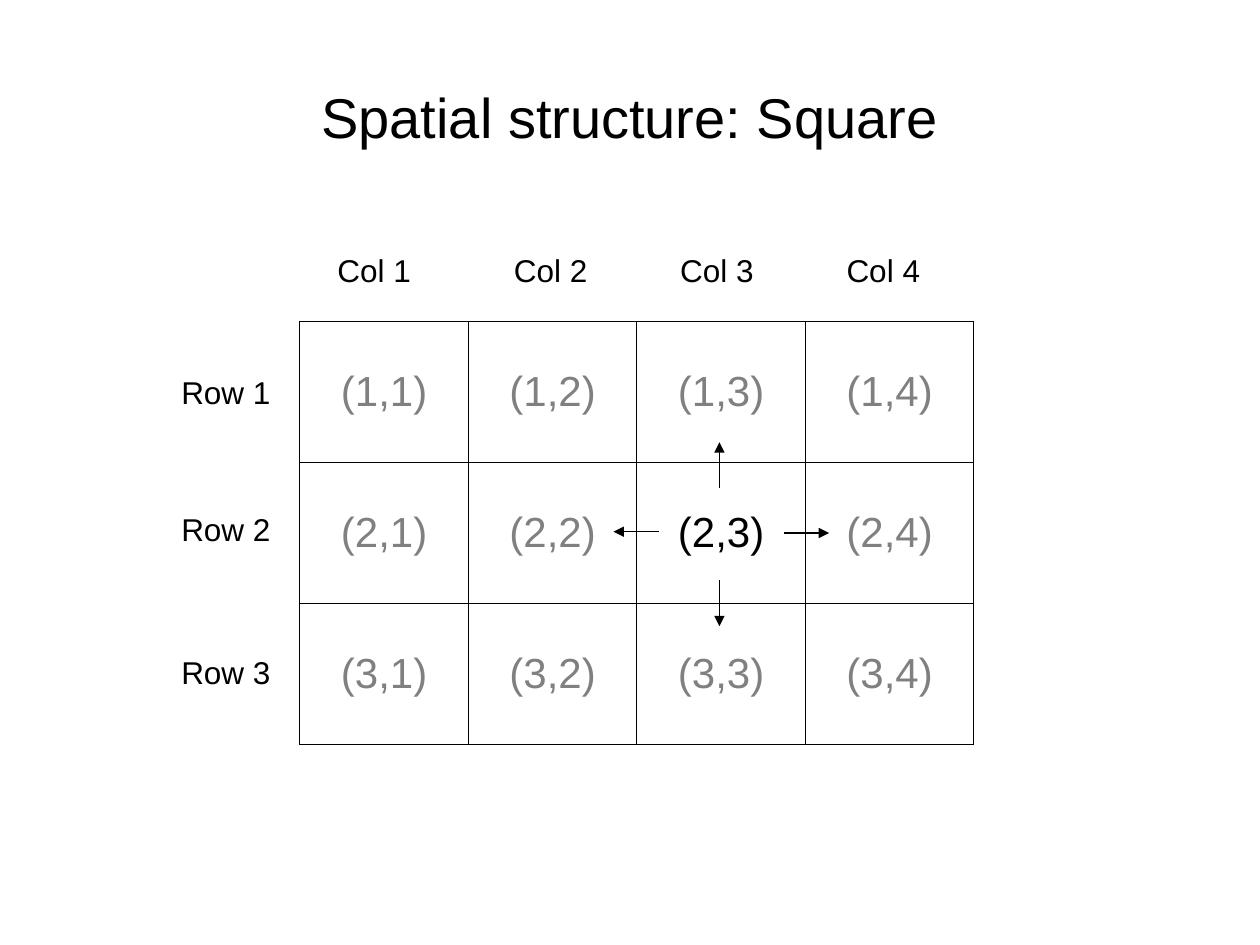
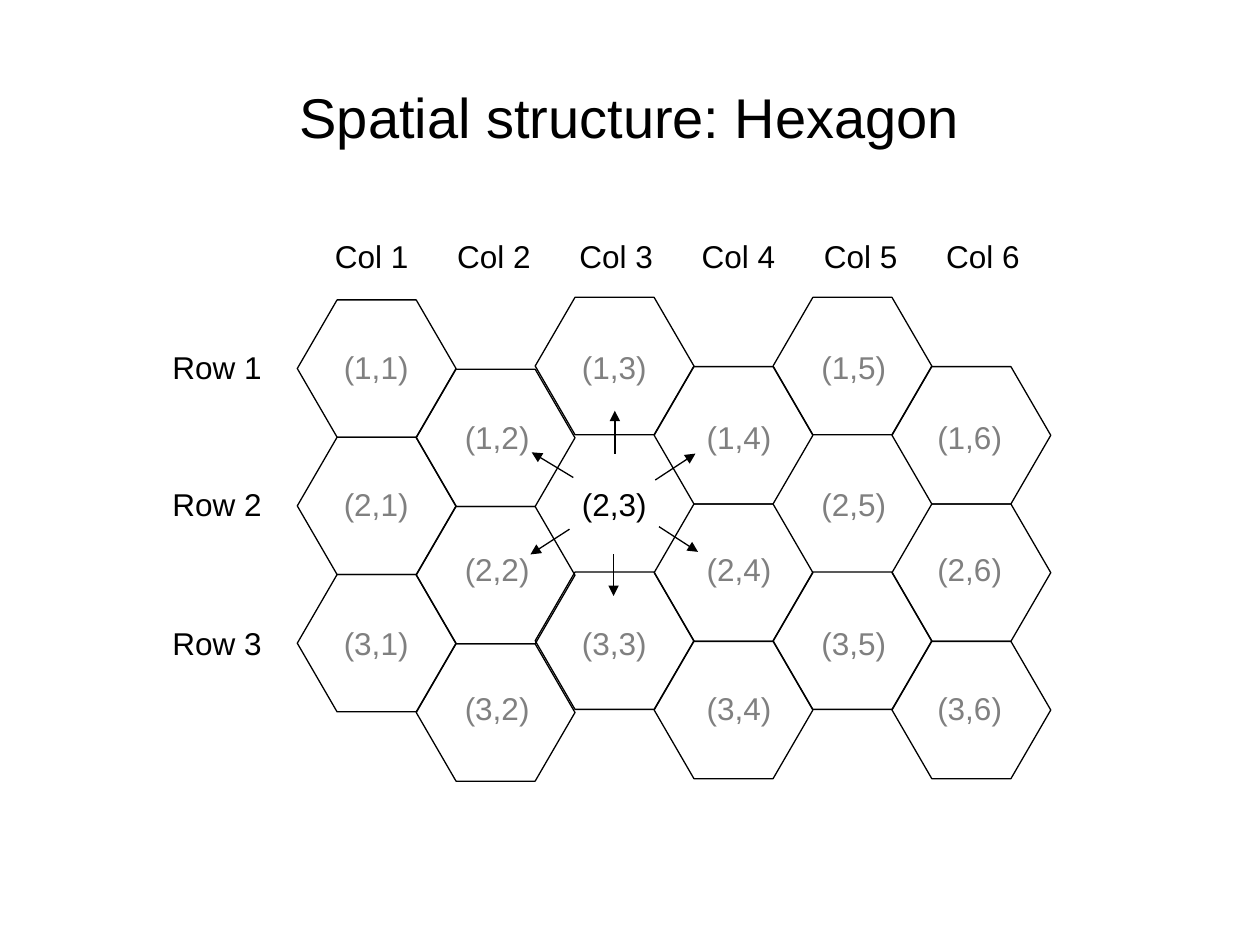
from dataclasses import dataclass

from lxml import etree
from pptx import Presentation
from pptx.dml.color import RGBColor
from pptx.enum.shapes import MSO_CONNECTOR, MSO_SHAPE
from pptx.enum.text import MSO_ANCHOR, MSO_AUTO_SIZE, PP_ALIGN
from pptx.oxml.ns import qn
from pptx.shapes.shapetree import GroupShapes, SlideShapes
from pptx.slide import Slide
from pptx.table import _Cell
from pptx.text.text import TextFrame
from pptx.util import Inches, Pt

LEFT, CENTER = PP_ALIGN.LEFT, PP_ALIGN.CENTER
TOP, MIDDLE = MSO_ANCHOR.TOP, MSO_ANCHOR.MIDDLE
GROW = MSO_AUTO_SIZE.SHAPE_TO_FIT_TEXT
HEXAGON = MSO_SHAPE.HEXAGON
STRAIGHT = MSO_CONNECTOR.STRAIGHT

FONT = "Arial"
BLACK, GRAY = "000000", "808080"
THIN = Pt(0.75)
FOCUS = (2, 3)
ROWS = 3
ROW_WIDE, COL_WIDE, CELL_WIDE = 0.95, 0.82, 0.75

Canvas = SlideShapes | GroupShapes


@dataclass(frozen=True)
class Label:
    text: str
    x: float
    y: float
    width: float
    color: str = BLACK


@dataclass(frozen=True)
class Arrow:
    x1: float
    y1: float
    x2: float
    y2: float


# Shared helpers
def paint(code: str) -> RGBColor:
    return RGBColor.from_string(code)


def shade(row: int, col: int) -> str:
    return BLACK if (row, col) == FOCUS else GRAY


def write(frame: TextFrame, text: str, *, size: int = 18, color: str = BLACK,
          align: PP_ALIGN = LEFT, before: int = 0) -> None:
    par = frame.paragraphs[0]
    par.alignment = align
    par.space_before = Pt(before)
    run = par.add_run()
    run.text = text
    run.font.name = FONT
    run.font.size = Pt(size)
    run.font.color.rgb = paint(color)


def add_title(slide: Slide, text: str) -> None:
    box = slide.shapes.add_textbox(Inches(0.5), Inches(0.3), Inches(9), Inches(1.25))
    frame = box.text_frame
    frame.word_wrap = True
    frame.vertical_anchor = MIDDLE
    write(frame, text, size=32, align=CENTER)


def add_label(shapes: Canvas, label: Label) -> None:
    box = shapes.add_textbox(Inches(label.x), Inches(label.y),
                             Inches(label.width), Inches(0.4))
    frame = box.text_frame
    frame.word_wrap = True
    frame.auto_size = GROW
    frame.vertical_anchor = TOP
    write(frame, label.text, color=label.color)


def add_heads(shapes: Canvas, name: str, spots: list[tuple[float, float]],
              width: float) -> None:
    for num, (x, y) in enumerate(spots, 1):
        add_label(shapes, Label(f"{name} {num}", x, y, width))


def add_arrow(shapes: Canvas, arrow: Arrow) -> None:
    line = shapes.add_connector(STRAIGHT, Inches(arrow.x1), Inches(arrow.y1),
                                Inches(arrow.x2), Inches(arrow.y2))
    line.line.color.rgb = paint(BLACK)
    line.line.width = THIN
    props = line._element.spPr
    etree.SubElement(props.find(qn("a:ln")), qn("a:tailEnd"), type="triangle")
    etree.SubElement(props, qn("a:effectLst"))


# Square grid
def add_border(cell: _Cell) -> None:
    props = cell._tc.get_or_add_tcPr()
    for num, side in enumerate(("lnL", "lnR", "lnT", "lnB")):
        edge = etree.Element(qn(f"a:{side}"), w=str(THIN))
        fill = etree.SubElement(edge, qn("a:solidFill"))
        etree.SubElement(fill, qn("a:srgbClr"), val=BLACK)
        props.insert(num, edge)


def add_grid(shapes: Canvas, cols: int) -> None:
    table = shapes.add_table(ROWS, cols, Inches(2.38), Inches(2.55),
                             Inches(5.35), Inches(3.36)).table
    table.first_row = table.horz_banding = False
    for row in range(ROWS):
        for col in range(cols):
            cell = table.cell(row, col)
            cell.fill.background()
            cell.vertical_anchor = MIDDLE
            add_border(cell)
            spot = (row + 1, col + 1)
            write(cell.text_frame, f"({spot[0]},{spot[1]})", size=24,
                  color=shade(*spot), align=CENTER, before=6)


def draw_square(slide: Slide) -> None:
    shapes = slide.shapes
    add_grid(shapes, 4)
    for arrow in (Arrow(5.71, 3.87, 5.71, 3.51), Arrow(5.71, 4.6, 5.71, 4.97),
                  Arrow(5.23, 4.22, 4.87, 4.22), Arrow(6.22, 4.23, 6.58, 4.23)):
        add_arrow(shapes, arrow)
    add_heads(shapes, "Row", [(1.34, y) for y in (2.91, 4, 5.13)], ROW_WIDE)
    add_heads(shapes, "Col", [(x, 1.94) for x in (2.58, 3.98, 5.3, 6.62)], COL_WIDE)
    add_title(slide, "Spatial structure: Square")


# Hexagon grid
HEX_TOPS = (2.38, 2.93, 2.36, 2.91, 2.36, 2.91)
HEX_STEP = 4.72 / 5
HEX_HIGH = 1.09
OPEN = {(2, 3), (2, 5)}  # cells outlined by their neighbours alone
TEXT_X = (2.63, 3.59, 4.52, 5.51, 6.42, 7.34)
ODD_Y, EVEN_Y = (2.71, 3.8, 4.9), (3.27, 4.32, 5.42)


def add_hex(shapes: Canvas, x: float, y: float) -> None:
    cell = shapes.add_shape(HEXAGON, Inches(x), Inches(y),
                            Inches(1.26), Inches(HEX_HIGH))
    cell.adjustments[0] = 0.29
    cell.shadow.inherit = False
    cell.fill.background()
    cell.line.color.rgb = paint(BLACK)
    cell.line.width = THIN


def draw_hexagon(slide: Slide) -> None:
    shapes = slide.shapes.add_group_shape().shapes
    spots = [(row, col) for row in range(1, ROWS + 1)
             for col in range(1, len(HEX_TOPS) + 1)]
    for row, col in spots:
        if (row, col) not in OPEN:
            add_hex(shapes, 2.36 + HEX_STEP * (col - 1),
                    HEX_TOPS[col - 1] + HEX_HIGH * (row - 1))
    add_heads(shapes, "Row", [(1.27, y) for y in ODD_Y], ROW_WIDE)
    for row, col in spots:
        y = (ODD_Y if col % 2 else EVEN_Y)[row - 1]
        add_label(shapes, Label(f"({row},{col})", TEXT_X[col - 1], y, CELL_WIDE,
                                shade(row, col)))
    add_heads(shapes, "Col", [(2.56 + 0.97 * num, 1.83) for num in range(6)], COL_WIDE)
    for arrow in (Arrow(4.88, 3.6, 4.88, 3.26), Arrow(5.2, 3.81, 5.52, 3.6),
                  Arrow(4.55, 3.79, 4.22, 3.59), Arrow(4.52, 4.2, 4.21, 4.4),
                  Arrow(5.23, 4.18, 5.54, 4.38), Arrow(4.87, 4.4, 4.87, 4.73)):
        add_arrow(shapes, arrow)
    add_title(slide, "Spatial structure: Hexagon")


def main() -> None:
    deck = Presentation()
    deck.slide_width, deck.slide_height = Inches(10), Inches(7.5)
    blank = deck.slide_layouts[6]
    for draw in (draw_square, draw_hexagon):
        draw(deck.slides.add_slide(blank))
    deck.save("out.pptx")


if __name__ == "__main__":
    main()
